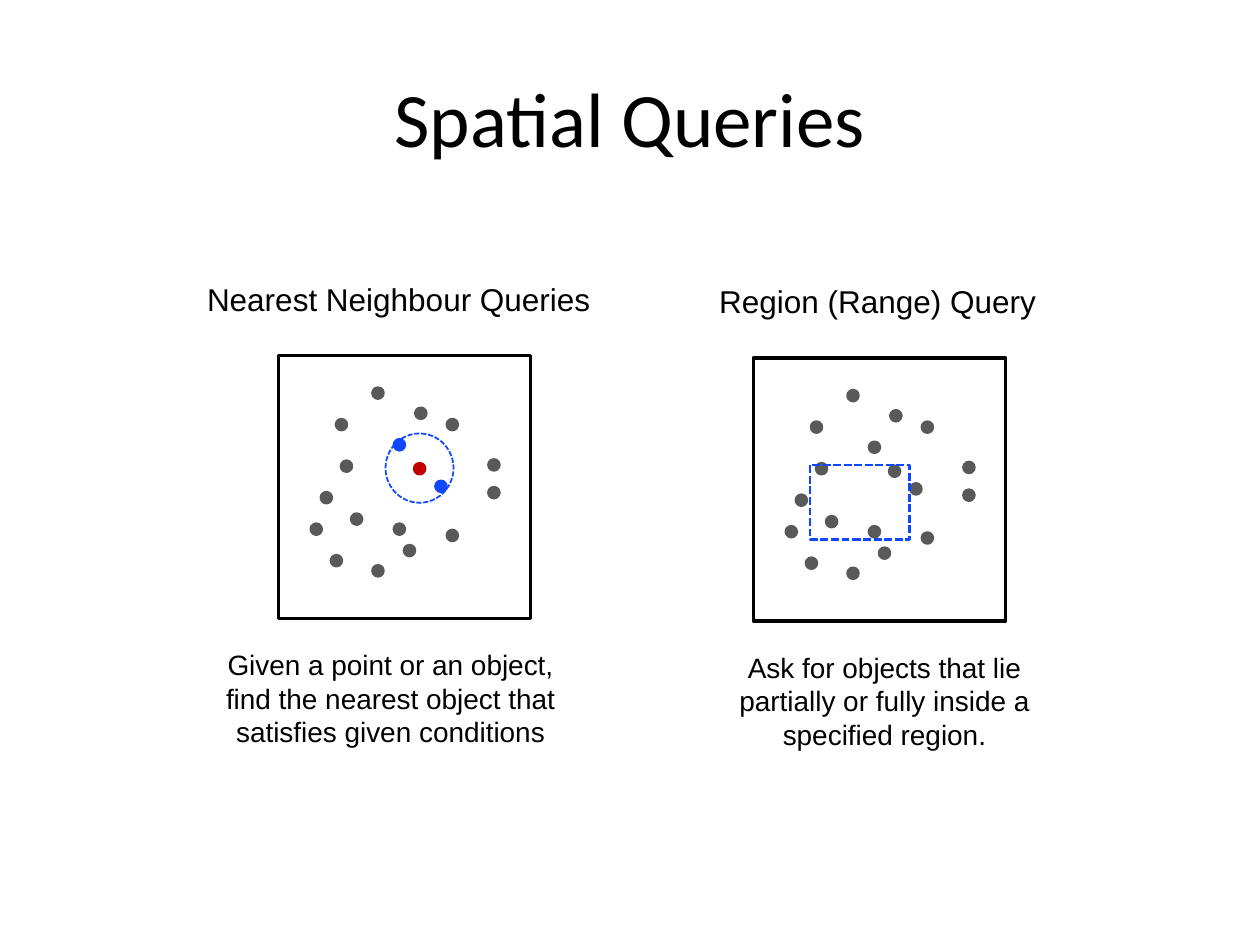
from dataclasses import dataclass

from pptx import Presentation
from pptx.dml.color import RGBColor
from pptx.enum.dml import MSO_LINE
from pptx.enum.shapes import MSO_SHAPE
from pptx.enum.text import MSO_ANCHOR, PP_ALIGN
from pptx.shapes.autoshape import Shape
from pptx.slide import Slide
from pptx.util import Inches, Pt

OVAL = MSO_SHAPE.OVAL
RECTANGLE = MSO_SHAPE.RECTANGLE
DASH = MSO_LINE.SQUARE_DOT
CENTER = PP_ALIGN.CENTER
TOP = MSO_ANCHOR.TOP
MIDDLE = MSO_ANCHOR.MIDDLE

COLORS = {
    "text": "000000",
    "frame": "000000",
    "point": "595959",
    "result": "0D47FF",
    "query": "C00000",
}

DOT_SIZE = 0.08
FRAME_WIDTH, FRAME_HEIGHT = 2, 2.09
POINTS = (
    (0.75, 1.67), (0.34, 1.09), (0.42, 1.59), (0.92, 0.67), (0.5, 0.84),
    (1.25, 1), (0.58, 1.26), (0.26, 1.34), (0.75, 0.26), (0.46, 0.51),
    (1, 1.51), (1.67, 1.05), (0.92, 1.34), (1.09, 0.42), (1.67, 0.83),
    (1.34, 1.39), (1.34, 0.51),
)
QUERY_POINT = (1.08, 0.86)
NEAREST_POINTS = ((0.92, 0.67), (1.25, 1))


@dataclass(frozen=True)
class Box:
    left: float
    top: float
    width: float
    height: float

    def lengths(self) -> tuple[int, ...]:
        return tuple(Inches(value) for value in (self.left, self.top, self.width, self.height))


@dataclass(frozen=True)
class Label:
    text: str
    box: Box
    size: int
    font: str = "Arial"
    anchor: MSO_ANCHOR = TOP


@dataclass(frozen=True)
class Region:
    kind: MSO_SHAPE
    box: Box
    line_width: float


@dataclass(frozen=True)
class Panel:
    left: float
    top: float
    heading: Label
    caption: Label
    region: Region
    point_colors: dict[tuple[float, float], str]


TITLE = Label("Spatial Queries", Box(0.5, 0.3, 9, 1.25), 44, "Calibri", MIDDLE)
PANELS = (
    Panel(
        2.21,
        2.82,
        Label("Nearest Neighbour Queries", Box(1.5, 2.17, 3.33, 0.4), 18),
        Label(
            "Given a point or an object, find the nearest object that satisfies given conditions",
            Box(1.65, 5.09, 2.9, 0.91),
            16,
        ),
        Region(OVAL, Box(3.06, 3.44, 0.54, 0.55), 1),
        {QUERY_POINT: "query"} | dict.fromkeys(NEAREST_POINTS, "result"),
    ),
    Panel(
        5.98,
        2.84,
        Label("Region (Range) Query", Box(5.58, 2.19, 2.77, 0.4), 18),
        Label(
            "Ask for objects that lie partially or fully inside a specified region.",
            Box(5.69, 5.11, 2.66, 0.91),
            16,
        ),
        Region(RECTANGLE, Box(6.43, 3.69, 0.79, 0.59), 1.5),
        {},
    ),
)


def color(name: str) -> RGBColor:
    return RGBColor.from_string(COLORS[name])


def add_outline(slide: Slide, kind: MSO_SHAPE, box: Box, color_name: str, line_width: float) -> Shape:
    shape = slide.shapes.add_shape(kind, *box.lengths())
    shape.shadow.inherit = False
    shape.fill.background()
    shape.line.color.rgb = color(color_name)
    shape.line.width = Pt(line_width)
    return shape


def add_dot(slide: Slide, panel: Panel, point: tuple[float, float]) -> None:
    color_name = panel.point_colors.get(point, "point")
    box = Box(panel.left + point[0], panel.top + point[1], DOT_SIZE, DOT_SIZE)
    shape = add_outline(slide, OVAL, box, color_name, 2)
    shape.fill.solid()
    shape.fill.fore_color.rgb = color(color_name)


def add_label(slide: Slide, label: Label) -> None:
    text_frame = slide.shapes.add_textbox(*label.box.lengths()).text_frame
    text_frame.word_wrap = True
    text_frame.vertical_anchor = label.anchor
    paragraph = text_frame.paragraphs[0]
    paragraph.alignment = CENTER
    run = paragraph.add_run()
    run.text = label.text
    font_format = {"name": label.font, "size": Pt(label.size)}
    for attribute, value in font_format.items():
        setattr(run.font, attribute, value)
    run.font.color.rgb = color("text")


def add_panel(slide: Slide, panel: Panel) -> None:
    for point in POINTS:
        add_dot(slide, panel, point)
    frame_box = Box(panel.left, panel.top, FRAME_WIDTH, FRAME_HEIGHT)
    add_outline(slide, RECTANGLE, frame_box, "frame", 2)
    add_dot(slide, panel, QUERY_POINT)
    region = panel.region
    shape = add_outline(slide, region.kind, region.box, "result", region.line_width)
    shape.line.dash_style = DASH
    add_label(slide, panel.heading)
    add_label(slide, panel.caption)


def main() -> None:
    presentation = Presentation()
    presentation.slide_width = Inches(10)
    presentation.slide_height = Inches(7.5)
    slide = presentation.slides.add_slide(presentation.slide_layouts[6])
    add_label(slide, TITLE)
    for panel in PANELS:
        add_panel(slide, panel)
    presentation.save("out.pptx")


if __name__ == "__main__":
    main()
